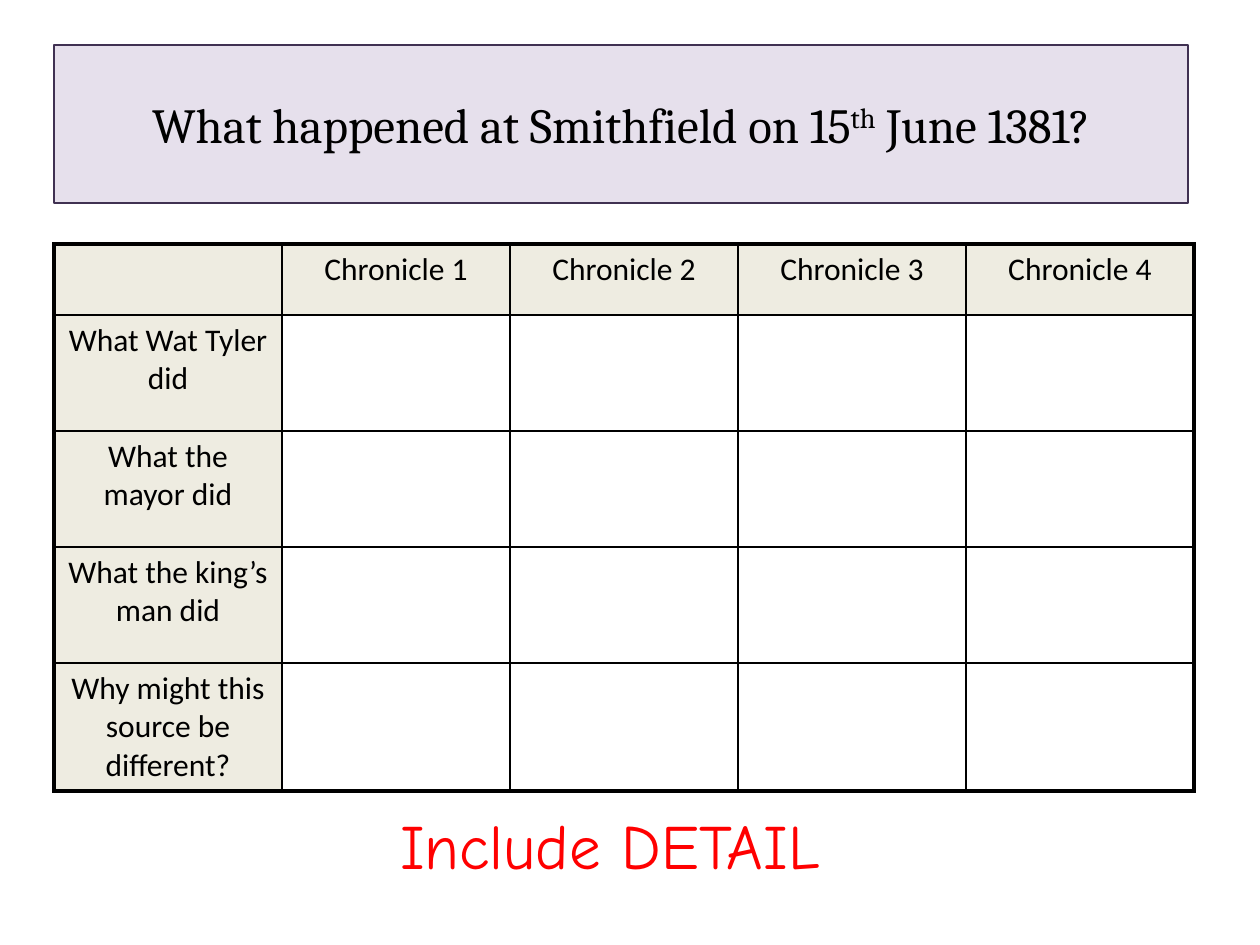
import pptx
import pptx.dml.color
import pptx.enum.text
import pptx.oxml.ns
import pptx.util
from lxml import etree

EMU_PER_PX = 914400 / 126
COLORS = {
    "ink": "000000",
    "title_fill": "E6E0EC",
    "title_line": "403152",
    "heading_fill": "EEECE1",
    "reminder": "FF0000",
}
THIN, THICK = 1, 2.25


def px(length):
    return pptx.util.Emu(round(length * EMU_PER_PX))


def rgb(name):
    return pptx.dml.color.RGBColor.from_string(COLORS[name])


def write_text(paragraph, text, font="Calibri", size=18, color="ink", superscript=False):
    """Add one formatted run to a centred paragraph."""
    paragraph.alignment = pptx.enum.text.PP_ALIGN.CENTER
    run = paragraph.add_run()
    run.text = text
    run.font.name = font
    run.font.size = pptx.util.Pt(size)
    run.font.color.rgb = rgb(color)
    if superscript:
        run.font._element.set("baseline", "30000")


def set_borders(cell, widths):
    """Draw the cell's edges; widths maps L, R, T, B (in that order) to points."""
    properties = cell._tc.get_or_add_tcPr()
    for side, width in widths.items():
        line = etree.SubElement(
            properties, pptx.oxml.ns.qn(f"a:ln{side}"), w=str(pptx.util.Pt(width))
        )
        fill = etree.SubElement(line, pptx.oxml.ns.qn("a:solidFill"))
        etree.SubElement(fill, pptx.oxml.ns.qn("a:srgbClr"), val=COLORS["ink"])


class SlideBuilder:
    def __init__(self, presentation):
        self.slide = presentation.slides.add_slide(presentation.slide_layouts[5])

    def title(self, box, parts):
        shape = self.slide.shapes.title
        shape.left, shape.top, shape.width, shape.height = map(px, box)
        shape.fill.solid()
        shape.fill.fore_color.rgb = rgb("title_fill")
        shape.line.color.rgb = rgb("title_line")
        shape.line.width = pptx.util.Pt(0.75)
        shape.text_frame.vertical_anchor = pptx.enum.text.MSO_ANCHOR.MIDDLE
        for text, superscript in parts:
            write_text(shape.text_frame.paragraphs[0], text, font="Cambria",
                       size=28, superscript=superscript)

    def grid(self, left, top, column_width, row_heights, headings, questions):
        rows, columns = len(questions) + 1, len(headings) + 1
        table = self.slide.shapes.add_table(
            rows, columns, px(left), px(top),
            px(column_width * columns), px(sum(row_heights)),
        ).table
        for column in table.columns:
            column.width = px(column_width)
        for row, height in zip(table.rows, row_heights):
            row.height = px(height)

        for r in range(rows):
            for c in range(columns):
                cell = table.cell(r, c)
                set_borders(cell, {
                    "L": THICK if c == 0 else THIN,
                    "R": THICK if c == columns - 1 else THIN,
                    "T": THICK if r == 0 else THIN,
                    "B": THICK if r == rows - 1 else THIN,
                })
                if r == 0 or c == 0:
                    cell.fill.solid()
                    cell.fill.fore_color.rgb = rgb("heading_fill")
                else:
                    cell.fill.background()

        # Column headings, then row questions
        labels = {(0, c): text for c, text in enumerate(headings, 1)}
        labels.update({(r, 0): text for r, text in enumerate(questions, 1)})
        for (r, c), text in labels.items():
            write_text(table.cell(r, c).text_frame.paragraphs[0], text)

    def text_box(self, box, text, **text_format):
        frame = self.slide.shapes.add_textbox(*map(px, box)).text_frame
        frame.word_wrap = True
        write_text(frame.paragraphs[0], text, **text_format)


def main():
    presentation = pptx.Presentation()
    presentation.slide_width = pptx.util.Inches(10)
    presentation.slide_height = pptx.util.Inches(7.5)
    builder = SlideBuilder(presentation)

    # Title banner
    builder.title((54, 45, 1134, 158), [
        ("What happened at Smithfield on 15", False),
        ("th", True),
        (" June 1381?", False),
    ])

    # Comparison of the chronicles
    builder.grid(
        54, 244, 228, [71, 116, 116, 116, 128],
        headings=[f"Chronicle {number}" for number in range(1, 5)],
        questions=[
            "What Wat Tyler did",
            "What the mayor did",
            "What the king’s man did",
            "Why might this source be different?",
        ],
    )

    # Reminder below the table
    builder.text_box((154, 800, 912, 89), "Include DETAIL",
                     font="Comic Neue", size=36, color="reminder")

    presentation.save("out.pptx")


if __name__ == "__main__":
    main()
